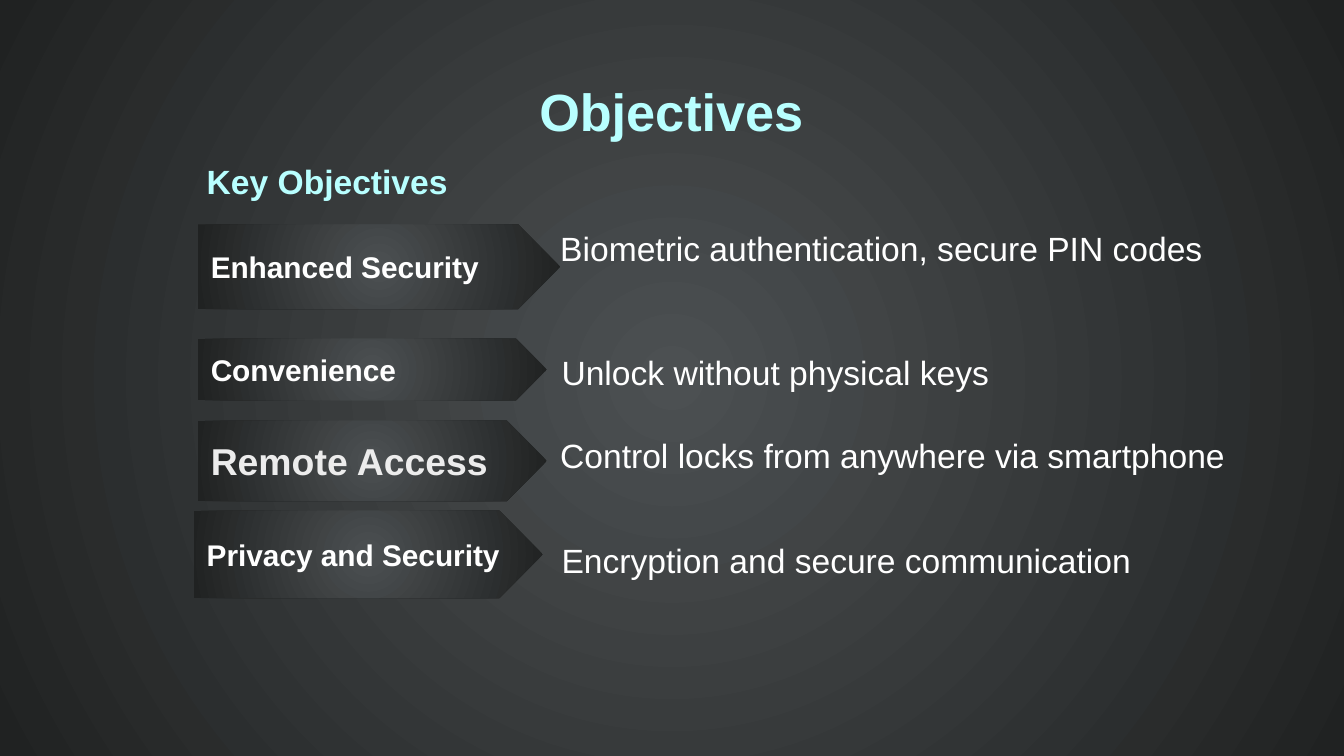
from lxml import etree
from pptx import Presentation
from pptx.dml.color import RGBColor
from pptx.enum.shapes import MSO_SHAPE
from pptx.enum.text import MSO_ANCHOR, MSO_AUTO_SIZE, PP_ALIGN
from pptx.oxml.ns import qn
from pptx.util import Inches, Pt

TOP, MIDDLE, BOTTOM = MSO_ANCHOR.TOP, MSO_ANCHOR.MIDDLE, MSO_ANCHOR.BOTTOM
LEFT, CENTER = PP_ALIGN.LEFT, PP_ALIGN.CENTER
PENTAGON = MSO_SHAPE.PENTAGON
FONT = "Arial"
TITLE_ONLY = 5

AQUA = RGBColor(0xB8, 0xFF, 0xFF)
WHITE = RGBColor(0xFF, 0xFF, 0xFF)
PALE_GRAY = RGBColor(0xEC, 0xEC, 0xEC)
GLOW = RGBColor(0x4C, 0x50, 0x52)
EDGE = RGBColor(0x20, 0x22, 0x22)

TITLE = ("Objectives", (0.78, 0.49, 8.43, 0.63))
HEADING = ("Key Objectives", (1.44, 1.15, 2.07, 0.67))

# label, place, size, colour
ARROWS = [
    ("Enhanced Security", (1.47, 1.67, 2.7, 0.63), 16, WHITE),
    ("Convenience", (1.47, 2.52, 2.6, 0.46), 16, WHITE),
    ("Remote Access", (1.47, 3.13, 2.6, 0.6), 20, PALE_GRAY),
    ("Privacy and Security", (1.44, 3.8, 2.6, 0.65), 16, WHITE),
]
# text, place, anchor
DETAILS = [
    ("Biometric authentication, secure PIN codes", (4.07, 1.65, 5.01, 0.71), TOP),
    ("Unlock without physical keys", (4.08, 2.57, 4.28, 0.4), TOP),
    ("Control locks from anywhere via smartphone", (4.07, 3.19, 5.4, 0.64), TOP),
    ("Encryption and secure communication", (4.08, 3.73, 5.13, 0.64), BOTTOM),
]


def fill_radial(fill, element):
    """Give the fill a circular gradient, light in the centre."""
    fill.gradient()
    for stop, color in zip(fill.gradient_stops, (GLOW, EDGE)):
        stop.color.rgb = color
    gradient = element.find(".//" + qn("a:gradFill"))
    linear = gradient.find(qn("a:lin"))
    circle = etree.Element(qn("a:path"), path="circle")
    etree.SubElement(circle, qn("a:fillToRect"), l="50000", t="50000", r="50000", b="50000")
    gradient.replace(linear, circle)


def write(box, text, size, color, bold=False, anchor=TOP, align=LEFT, inset=0.05):
    frame = box.text_frame
    frame.word_wrap = True
    frame.auto_size = MSO_AUTO_SIZE.NONE
    frame.vertical_anchor = anchor
    frame.margin_left = frame.margin_right = Inches(0.1)
    frame.margin_top = frame.margin_bottom = Inches(inset)
    para = frame.paragraphs[0]
    para.alignment = align
    span = para.add_run()
    span.text = text
    span.font.name = FONT
    span.font.size = Pt(size)
    span.font.bold = bold
    span.font.color.rgb = color


def add_arrow(page, label, place, size, color):
    arrow = page.shapes.add_shape(PENTAGON, *map(Inches, place))
    arrow.shadow.inherit = False
    arrow.adjustments[0] = 0.5
    fill_radial(arrow.fill, arrow.element)
    arrow.line.fill.background()
    write(arrow, label, size, color, bold=True, anchor=MIDDLE, inset=0.1)


def main():
    deck = Presentation()
    deck.slide_width = Inches(10)
    deck.slide_height = deck.slide_width * 9 // 16
    page = deck.slides.add_slide(deck.slide_layouts[TITLE_ONLY])
    fill_radial(page.background.fill, page.element)

    text, place = TITLE
    title = page.shapes.title
    title.left, title.top, title.width, title.height = map(Inches, place)
    write(title, text, 28, AQUA, bold=True, align=CENTER, inset=0.1)

    text, place = HEADING
    write(page.shapes.add_textbox(*map(Inches, place)), text, 18, AQUA, bold=True)

    for arrow in ARROWS:
        add_arrow(page, *arrow)
    for text, place, anchor in DETAILS:
        box = page.shapes.add_textbox(*map(Inches, place))
        write(box, text, 18, WHITE, anchor=anchor)

    deck.save("out.pptx")


if __name__ == "__main__":
    main()
